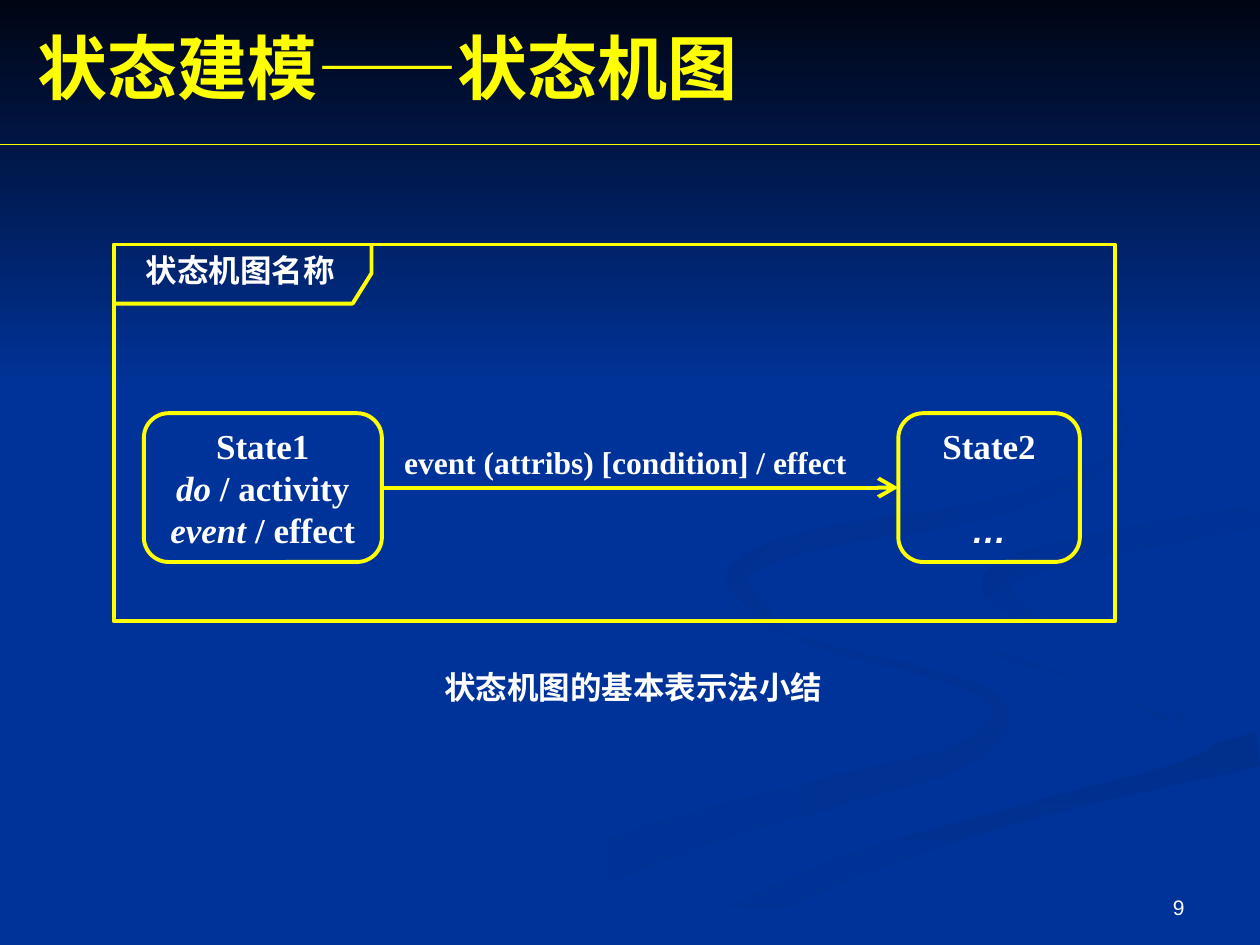
from math import hypot

from lxml import etree
from pptx import Presentation
from pptx.dml.color import RGBColor
from pptx.enum.shapes import MSO_CONNECTOR, MSO_SHAPE
from pptx.enum.text import MSO_ANCHOR, MSO_AUTO_SIZE, PP_ALIGN
from pptx.oxml.ns import qn
from pptx.util import Cm, Pt

YELLOW, WHITE, BLUE = "FFFF00", "FFFFFF", "003399"
SERIF, SANS = "Times New Roman", "Arial"
PAGE_WIDTH, PAGE_HEIGHT = 25.4, 19.05
STEPS_PER_SPAN = 6
UNITS_PER_CM = 100


def colour(code):
    return RGBColor.from_string(code)


def write(frame, lines, size, code=WHITE, align=PP_ALIGN.LEFT, bold=True, face=SERIF):
    for index, runs in enumerate(lines):
        para = frame.paragraphs[0] if index == 0 else frame.add_paragraph()
        para.alignment = align
        para.font.size = Pt(size)
        para.font.bold = bold
        para.font.name = face
        para.font.color.rgb = colour(code)
        for text, italic in runs:
            span = para.add_run()
            span.text = text
            if italic:
                span.font.italic = True


deck = Presentation()
deck.slide_width, deck.slide_height = Cm(PAGE_WIDTH), Cm(PAGE_HEIGHT)
page = deck.slides.add_slide(deck.slide_layouts[5])
page.background.fill.solid()
page.background.fill.fore_color.rgb = colour(BLUE)

# Each knot is the ribbon's centre x, centre y and thickness in centimetres.
left_ribbon = [(14.6, 11.7, 0.05), (14.9, 12.3, 0.1), (16.5, 13, 0.12), (18.5, 13.5, 0.15),
               (19.9, 14, 0.25), (20.1, 14.6, 0.4), (19.2, 15.3, 0.5), (17, 15.9, 0.6),
               (13.2, 17, 0.8), (8.4, 19, 1.1)]
right_ribbon = [(18.4, 11.8, 0.05), (18.7, 12.4, 0.15), (20, 13.1, 0.2), (22.1, 13.7, 0.3),
                (23.4, 14.2, 0.5), (23.6, 14.7, 0.6), (23.3, 15.1, 0.4), (22.7, 15.4, 0.05)]
lower_band = [(25.4, 15.1, 0.7), (21, 16.2, 0.5), (17.3, 17.4, 0.5), (13.8, 19, 0.6)]
broad_ribbon = [(25.4, 10, 0.4), (21.5, 10.7, 0.3), (19, 11.8, 1.2), (21.6, 13.2, 0.8),
                (24.3, 14.5, 1), (20.6, 15.9, 0.6), (16, 17.3, 0.5), (12.4, 19, 0.6)]
right_curl = [(25.4, 10.4, 0.45), (22.6, 10.9, 0.5), (20.6, 11.4, 0.5), (20.1, 11.9, 0.6),
              (21, 12.6, 0.05)]
upper_curl = [(19.4, 5.9, 0.05), (21.4, 7, 0.05), (22.5, 8.1, 0.1), (22.6, 8.9, 0.15),
              (22, 9.5, 0.25), (19.8, 10.3, 0.35), (16.8, 10.8, 0.4), (15.2, 11.3, 0.4),
              (14.9, 11.8, 0.4), (15.8, 12.7, 0.05)]

backdrop = []
for knots, first, last, angle in [
    (left_ribbon, BLUE, "003193", 0),
    (right_ribbon, BLUE, "003193", 45),
    (lower_band, "002F8C", BLUE, 90),
    (broad_ribbon, BLUE, BLUE, 0),
    (right_curl, "003091", BLUE, 45),
    (upper_curl, "002F8E", BLUE, 45),
]:
    padded = [knots[0], *knots, knots[-1]]
    centres = []
    for before, start, end, after in zip(padded, padded[1:], padded[2:], padded[3:]):
        for step in range(STEPS_PER_SPAN):
            t = step / STEPS_PER_SPAN
            centres.append([
                b + ((c - a) * t + (2 * a - 5 * b + 4 * c - d) * t ** 2
                     + (3 * b - a - 3 * c + d) * t ** 3) / 2
                for a, b, c, d in zip(before, start, end, after)])
    centres.append(knots[-1])

    one_side, other_side = [], []
    for index, (x, y, thickness) in enumerate(centres):
        previous = centres[max(index - 1, 0)]
        following = centres[min(index + 1, len(centres) - 1)]
        run, rise = following[0] - previous[0], following[1] - previous[1]
        reach = thickness / 2 / hypot(run, rise)
        for side, sign in [(one_side, 1), (other_side, -1)]:
            side.append((min(x - sign * rise * reach, PAGE_WIDTH) * UNITS_PER_CM,
                         min(y + sign * run * reach, PAGE_HEIGHT) * UNITS_PER_CM))
    outline = one_side + other_side[::-1]
    builder = page.shapes.build_freeform(*outline[0], scale=Cm(1) / UNITS_PER_CM)
    builder.add_line_segments(outline[1:], close=True)
    backdrop.append((builder.convert_to_shape(), first, last, angle))

top_shade = page.shapes.add_shape(MSO_SHAPE.RECTANGLE, 0, 0, Cm(PAGE_WIDTH), Cm(7.82))
backdrop.append((top_shade, "000514", BLUE, 90))
for shape, first, last, angle in backdrop:
    shape.shadow.inherit = False
    shape.line.fill.background()
    shape.fill.gradient()
    shape.fill.gradient_angle = 360 - angle
    for stop, code in zip(shape.fill.gradient_stops, (first, last)):
        stop.color.rgb = colour(code)

title = page.shapes.title
page.shapes._spTree.append(title._element)
title.left, title.top, title.width, title.height = Cm(0.51), Cm(0.36), Cm(22.86), Cm(1.96)
title.text_frame.auto_size = MSO_AUTO_SIZE.NONE
title.text_frame.vertical_anchor = MSO_ANCHOR.MIDDLE
write(title.text_frame, [[("状态建模", False), ("——", False), ("状态机图", False)]], 40, YELLOW)
title.text_frame.paragraphs[0].runs[1].font.name = SANS

frame = page.shapes.add_shape(MSO_SHAPE.RECTANGLE, Cm(2.29), Cm(4.93), Cm(20.19), Cm(7.59))
builder = page.shapes.build_freeform(749, 493, scale=Cm(1) / UNITS_PER_CM)
builder.add_line_segments([(749, 551), (711, 612), (229, 612)], close=False)
name_tab = builder.convert_to_shape()

states = []
for left, width, lines in [
    (2.9, 4.8, [[("State1", False)],
                [("do", True), (" / activity", False)],
                [("event ", True), ("/ effect", False)]]),
    (18.11, 3.66, [[("State2", False)], [("…", True)]]),
]:
    state = page.shapes.add_shape(
        MSO_SHAPE.ROUNDED_RECTANGLE, Cm(left), Cm(8.33), Cm(width), Cm(3))
    state.text_frame.word_wrap = False
    state.text_frame.vertical_anchor = MSO_ANCHOR.MIDDLE
    write(state.text_frame, lines, 20, align=PP_ALIGN.CENTER)
    states.append(state)
ellipsis = states[1].text_frame.paragraphs[1]
ellipsis.space_before = Pt(24)
ellipsis.font.name = SANS

for shape in [frame, name_tab, *states]:
    shape.shadow.inherit = False
    shape.fill.background()
    shape.line.color.rgb = colour(YELLOW)
    shape.line.width = Pt(2.25)

divider = page.shapes.add_connector(
    MSO_CONNECTOR.STRAIGHT, 0, Cm(2.92), Cm(PAGE_WIDTH), Cm(2.92))
transition = page.shapes.add_connector(
    MSO_CONNECTOR.STRAIGHT, Cm(7.7), Cm(9.83), Cm(18.11), Cm(9.83))
transition.begin_connect(states[0], 3)
transition.end_connect(states[1], 1)
for connector, weight in [(divider, 0.75), (transition, 2.25)]:
    connector.line.color.rgb = colour(YELLOW)
    connector.line.width = Pt(weight)
    etree.SubElement(connector._element.spPr, qn("a:effectLst"))
etree.SubElement(transition.line._get_or_add_ln(), qn("a:tailEnd"),
                 type="arrow", w="lg", len="lg")

for text, left, top, width in [
    ("event (attribs) [condition] / effect", 7.9, 8.81, 9.8),
    ("状态机图名称", 2.69, 4.93, 4.39),
    ("状态机图的基本表示法小结", 8.71, 13.34, 8.81),
]:
    box = page.shapes.add_textbox(Cm(left), Cm(top), Cm(width), Cm(1.02))
    box.text_frame.word_wrap = True
    write(box.text_frame, [[(text, False)]], 18)

number = page.shapes.add_textbox(Cm(18.21), Cm(17.35), Cm(5.92), Cm(1.32))
number.text_frame.word_wrap = True
number.text_frame.vertical_anchor = MSO_ANCHOR.BOTTOM
write(number.text_frame, [[("9", False)]], 12, align=PP_ALIGN.RIGHT, bold=False, face=SANS)

deck.save("out.pptx")
